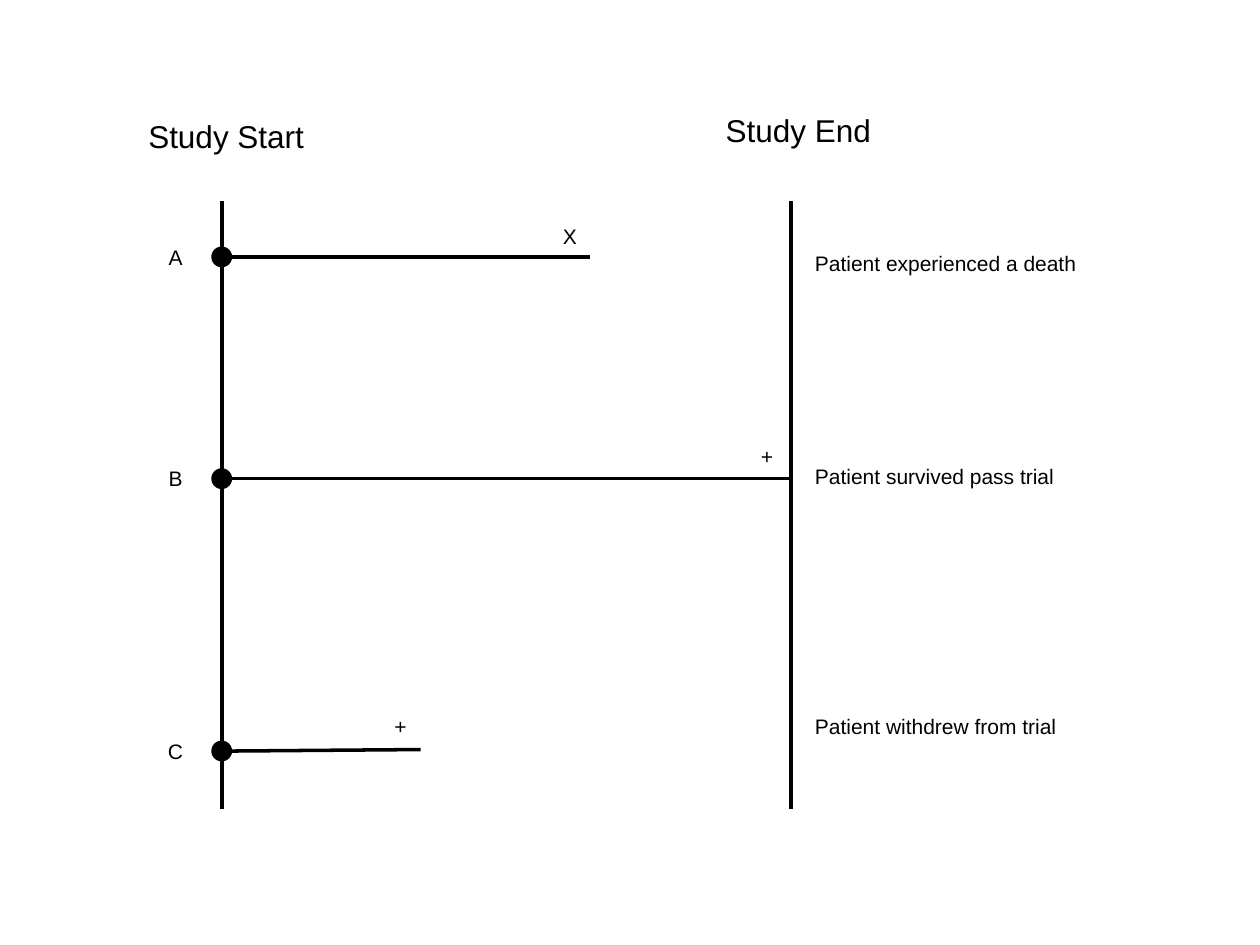
from lxml.etree import SubElement
from pptx import Presentation
from pptx.dml.color import RGBColor
from pptx.enum.shapes import MSO_CONNECTOR, MSO_SHAPE
from pptx.enum.text import MSO_AUTO_SIZE, PP_ALIGN
from pptx.oxml.ns import qn
from pptx.util import Cm, Pt

BLACK = RGBColor(0, 0, 0)

START_X, END_X = 4.47, 15.95
AXIS_TOP, AXIS_BOTTOM = 4.06, 16.31
DOT_SIZE = 0.42
LABEL_HEIGHT = 0.76
OUTCOME_X = 16.18

# text, left, top, width
HEADINGS = [
    ("Study Start", 2.74, 2.24, 3.68),
    ("Study End", 14.38, 2.11, 3.48),
]

# letter, line y, line end (x, y), mark, mark (left, top),
# outcome, outcome (top, width)
PATIENTS = [
    ("A", 5.18, (11.89, 5.18), "X", (11.1, 4.39),
     "Patient experienced a death", (4.93, 5.84)),
    ("B", 9.65, (END_X, 9.65), "+", (15.09, 8.81),
     "Patient survived pass trial", (9.22, 5.38)),
    ("C", 15.14, (8.48, 15.11), "+", (7.7, 14.25),
     "Patient withdrew from trial", (14.25, 5.44)),
]


class TimelineSlide:
    font_name = "Arial"
    color = BLACK
    line_width = Pt(2)

    def __init__(self, slide):
        self.slide = slide

    def line(self, start, end):
        connector = self.slide.shapes.add_connector(
            MSO_CONNECTOR.STRAIGHT, *map(Cm, start + end))
        connector.line.color.rgb = self.color
        connector.line.width = self.line_width
        SubElement(connector._element.spPr, qn("a:effectLst"))

    def dot(self, center_x, center_y):
        shape = self.slide.shapes.add_shape(
            MSO_SHAPE.OVAL, Cm(center_x - DOT_SIZE / 2),
            Cm(center_y - DOT_SIZE / 2), Cm(DOT_SIZE), Cm(DOT_SIZE))
        shape.shadow.inherit = False
        shape.fill.solid()
        shape.fill.fore_color.rgb = self.color
        shape.line.fill.background()

    def text(self, text, left, top, width, height=LABEL_HEIGHT, size=12,
             alignment=PP_ALIGN.LEFT):
        box = self.slide.shapes.add_textbox(
            *map(Cm, (left, top, width, height)))
        frame = box.text_frame
        frame.word_wrap = False
        frame.auto_size = MSO_AUTO_SIZE.SHAPE_TO_FIT_TEXT
        paragraph = frame.paragraphs[0]
        paragraph.alignment = alignment
        run = paragraph.add_run()
        run.text = text
        run.font.color.rgb = self.color
        font_format = {"name": self.font_name, "size": Pt(size)}
        for attribute, value in font_format.items():
            setattr(run.font, attribute, value)


def main():
    presentation = Presentation()
    presentation.slide_width, presentation.slide_height = Cm(25.4), Cm(19.05)
    blank_layout = presentation.slide_layouts[6]
    timeline = TimelineSlide(presentation.slides.add_slide(blank_layout))

    for axis_x in (START_X, END_X):
        timeline.line((axis_x, AXIS_TOP), (axis_x, AXIS_BOTTOM))
    for heading, left, top, width in HEADINGS:
        timeline.text(heading, left, top, width, height=1.02, size=18)

    for (letter, line_y, line_end, mark, mark_position,
         outcome, (outcome_top, outcome_width)) in PATIENTS:
        timeline.line((START_X + DOT_SIZE / 2, line_y), line_end)
        timeline.dot(START_X, line_y)
        timeline.text(letter, 3.12, line_y - LABEL_HEIGHT / 2, 0.84,
                      alignment=PP_ALIGN.CENTER)
        timeline.text(mark, *mark_position, 0.77)
        timeline.text(outcome, OUTCOME_X, outcome_top, outcome_width)

    presentation.save("out.pptx")


if __name__ == "__main__":
    main()
